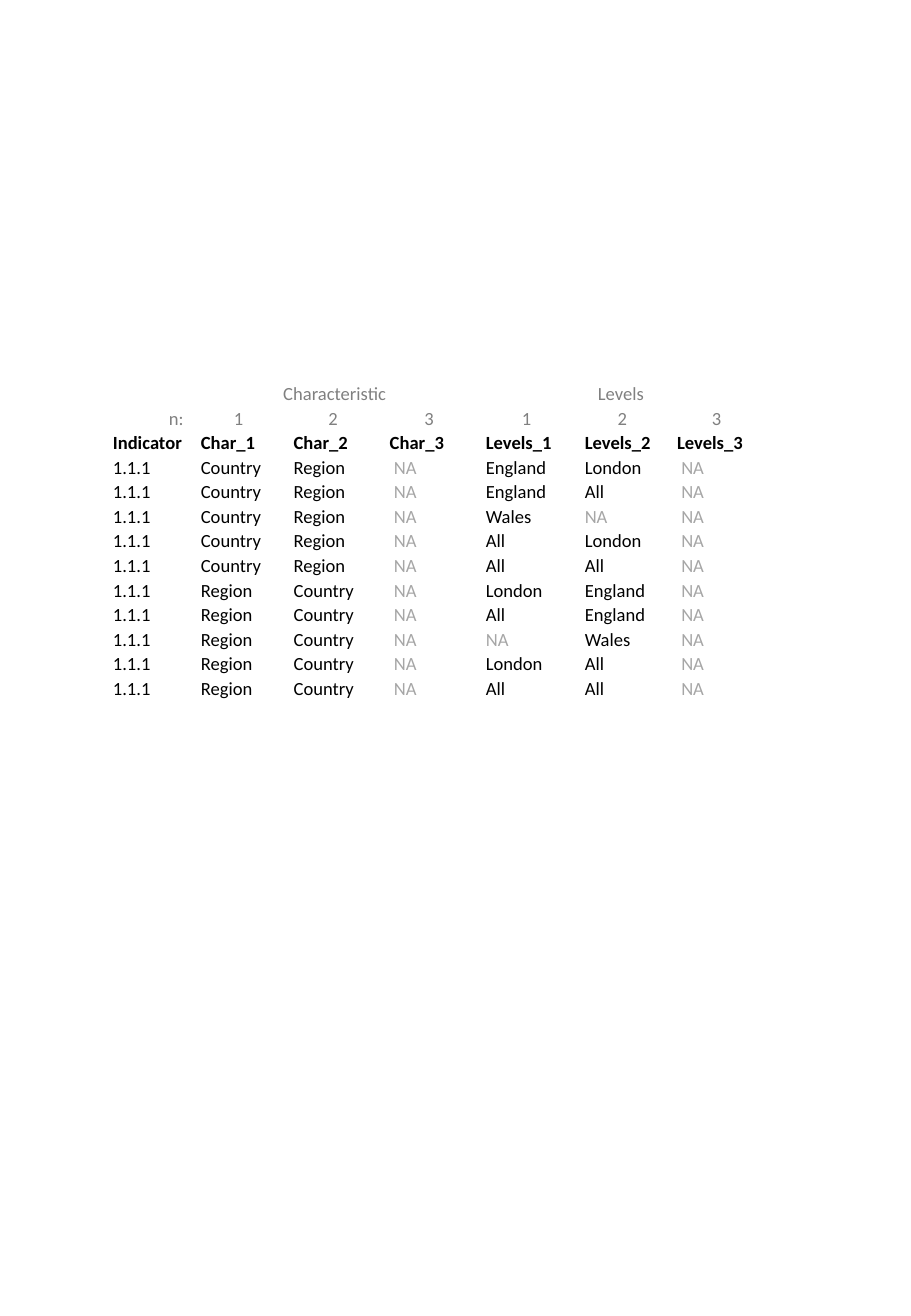
from lxml import etree
from pptx import Presentation
from pptx import util as u
from pptx.dml.color import RGBColor
from pptx.enum import text
from pptx.oxml.ns import qn


def paint(code):
    return RGBColor.from_string(code)


class Deck:
    """Hold the style and the current slide."""

    font, size = "Calibri", 11
    ink, label, faint = "000000", "808080", "A6A6A6"

    def __init__(self, wide, high):
        self.show = Presentation()
        self.show.slide_width, self.show.slide_height = u.Cm(wide), u.Cm(high)
        self.slide = self.show.slides.add_slide(self.show.slide_layouts[6])

    def grid(self, left, top, widths, high, count):
        frame = self.slide.shapes.add_table(
            count, len(widths), u.Cm(left), u.Cm(top),
            u.Cm(sum(widths)), u.Cm(high * count))
        table = frame.table
        table.first_row = table.horz_banding = False
        for col, width in zip(table.columns, widths):
            col.width = u.Cm(width)
        for row in table.rows:
            row.height = u.Cm(high)
        return table

    def cell(self, cell, words, color, align, bold=False):
        cell.fill.background()
        cell.margin_left, cell.margin_right = u.Cm(0.19), u.Cm(0.17)
        cell.margin_top = cell.margin_bottom = 0
        cell.text_frame.text = words
        para = cell.text_frame.paragraphs[0]
        para.alignment = align
        para.line_spacing = 1.07
        para.space_after = u.Pt(8)
        for run in para.runs:
            run.font.name, run.font.size = self.font, u.Pt(self.size)
            run.font.bold = bold
            run.font.color.rgb = paint(color)
        if not words:
            end = etree.SubElement(para._p, qn("a:endParaRPr"))
            end.set("sz", str(self.size * 100))
            etree.SubElement(end, qn("a:latin")).set("typeface", self.font)


LEFT, MID, RIGHT = (getattr(text.PP_ALIGN, side)
                    for side in ("LEFT", "CENTER", "RIGHT"))
GAP = "\u00a0NA"
HEADS = [
    ["", "Characteristic", "", "", "Levels", "", ""],
    ["n:"] + ["1", "2", "3"] * 2,
    ["Indicator"] + [f"{kind}_{n}" for kind in ("Char", "Levels")
                     for n in (1, 2, 3)],
]
PLACES = {
    ("Country", "Region"): [("England", "London"), ("England", "All"),
                            ("Wales", "NA"), ("All", "London"),
                            ("All", "All")],
    ("Region", "Country"): [("London", "England"), ("All", "England"),
                            ("NA", "Wales"), ("London", "All"),
                            ("All", "All")],
}
rows = HEADS + [["1.1.1", *chars, GAP, *levels, GAP]
                for chars, pairs in PLACES.items() for levels in pairs]

deck = Deck(19.05, 27.51)
table = deck.grid(2.17, 7.97, [1.84, 1.94, 2.01, 2.01, 2.07, 1.93, 2.01],
                  0.51, len(rows))
for y, row in enumerate(rows):
    for x, words in enumerate(row):
        align = LEFT if y > 1 else MID if x else RIGHT
        color = (deck.label if y < 2 else
                 deck.faint if words in ("NA", GAP) else deck.ink)
        deck.cell(table.cell(y, x), words, color, align, y == 2)
for x in (1, 4):
    table.cell(0, x).merge(table.cell(0, x + 2))
deck.show.save("out.pptx")
